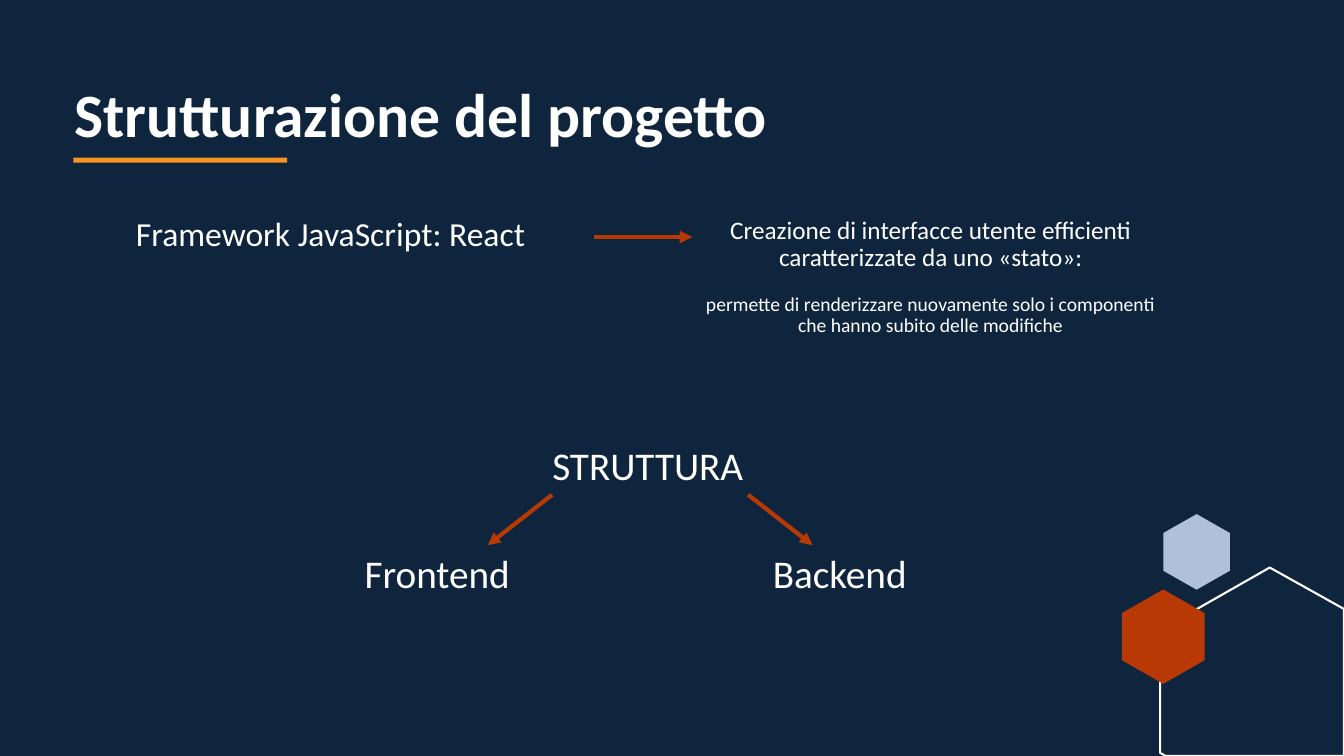
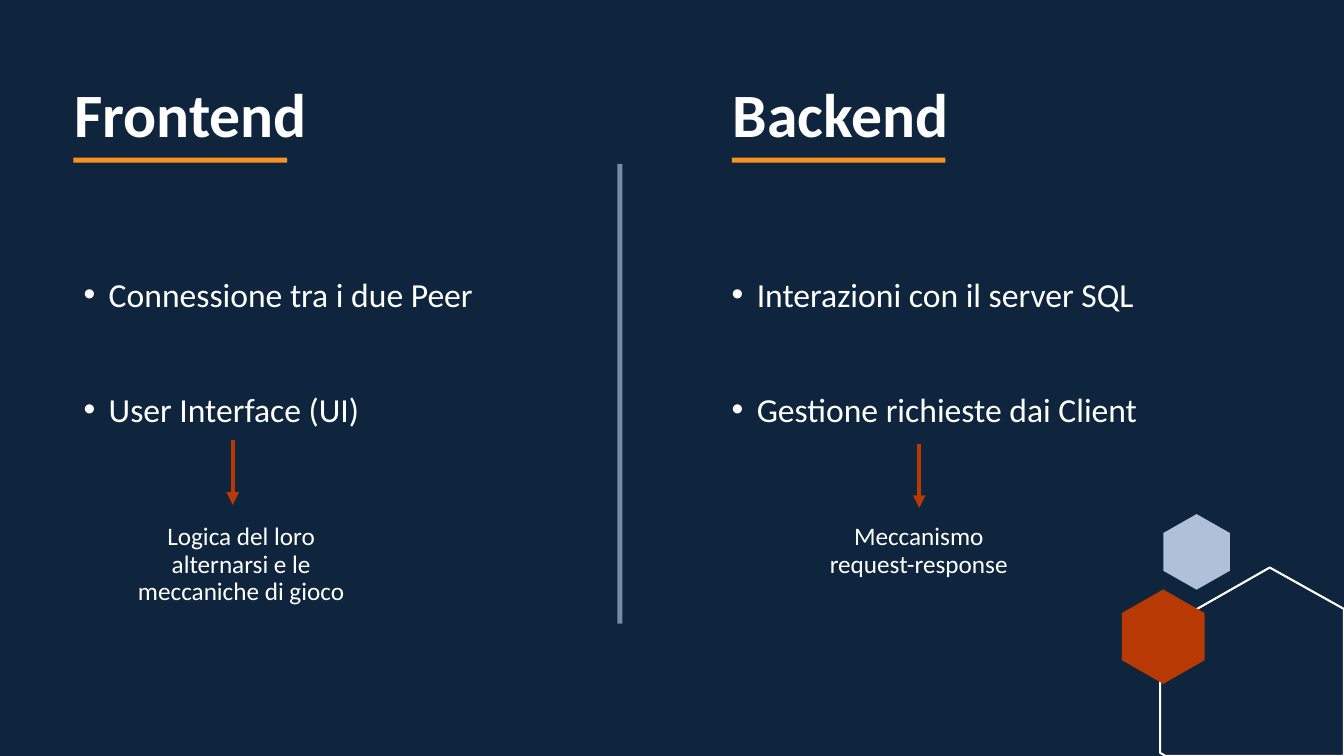
from lxml.etree import SubElement
from pptx import Presentation
from pptx.dml.color import RGBColor
from pptx.enum.shapes import MSO_CONNECTOR, MSO_SHAPE
from pptx.enum.text import PP_ALIGN as Align
from pptx.oxml.ns import qn
from pptx.util import Pt

WIDTH, HEIGHT = 960, 540
FONT = "Calibri"
NAVY, WHITE, RUST = "0F253E", "FFFFFF", "B83903"
ORANGE, PALE, DIVIDER = "F79320", "AEC1D8", "AEC2D8"


def color(code):
    """Turn a hex string into a colour."""
    return RGBColor.from_string(code)


def add_text(page, box, lines, align=Align.LEFT, spacing=0.9, bold=False, bullet=False):
    """Write (text, size, space before) lines in a box."""
    frame = page.shapes.add_textbox(*map(Pt, box)).text_frame
    frame.word_wrap = True
    for index, (text, size, before) in enumerate(lines):
        para = frame.add_paragraph() if index else frame.paragraphs[0]
        para.text = text
        para.alignment = align
        para.line_spacing = spacing
        para.space_before = Pt(before)
        para.font.name = FONT
        para.font.size = Pt(size)
        para.font.bold = bold
        para.font.color.rgb = color(WHITE)
        if bullet:
            add_bullet(para)


def add_bullet(para):
    """Give a paragraph a hanging bullet."""
    props = para._p.get_or_add_pPr()
    props.set("marL", str(Pt(18)))
    props.set("indent", str(Pt(-18)))
    for tag, name, value in (("a:buFont", "typeface", "Arial"), ("a:buChar", "char", "•")):
        SubElement(props, qn(tag)).set(name, value)


def add_bar(page, box, fill, opacity=100):
    """Draw a plain filled bar."""
    bar = page.shapes.add_shape(MSO_SHAPE.RECTANGLE, *map(Pt, box))
    bar.shadow.inherit = False
    bar.line.fill.background()
    bar.fill.solid()
    bar.fill.fore_color.rgb = color(fill)
    if opacity < 100:
        tint = bar.fill._xPr.find(qn("a:solidFill"))[0]
        SubElement(tint, qn("a:alpha")).set("val", str(opacity * 1000))


def add_arrow(page, start, end):
    """Draw an arrow between two points."""
    arrow = page.shapes.add_connector(MSO_CONNECTOR.STRAIGHT, *map(Pt, start + end))
    arrow.line.width = Pt(3)
    arrow.line.color.rgb = color(RUST)
    SubElement(arrow.line._get_or_add_ln(), qn("a:tailEnd")).set("type", "triangle")
    SubElement(arrow._element.spPr, qn("a:effectLst"))


def add_polygon(page, points, fill=None, line=None):
    """Draw a closed outline through the points."""
    first, *others = [(Pt(x), Pt(y)) for x, y in points]
    builder = page.shapes.build_freeform(*first)
    builder.add_line_segments(others, close=True)
    polygon = builder.convert_to_shape()
    polygon.shadow.inherit = False
    if fill:
        polygon.fill.solid()
        polygon.fill.fore_color.rgb = color(fill)
    else:
        polygon.fill.background()
    if line:
        polygon.line.color.rgb = color(line)
        polygon.line.width = Pt(1.5)
    else:
        polygon.line.fill.background()


def add_hexagon(page, box, fill):
    """Draw an upright hexagon that fills a box."""
    left, top, width, height = box
    middle, right = left + width / 2, left + width
    upper, lower = top + height / 4, top + height * 3 / 4
    points = [(middle, top), (right, upper), (right, lower),
              (middle, top + height), (left, lower), (left, upper)]
    add_polygon(page, points, fill)


def add_page(deck):
    """Add a blank page with the hexagon corner."""
    page = deck.slides.add_slide(deck.slide_layouts[6])
    add_hexagon(page, (831, 367.2, 47.5, 54), PALE)
    corner = [(907, 405.4), (WIDTH, 435), (WIDTH, HEIGHT),
              (832.5, HEIGHT), (828.7, 537.8), (828.7, 450)]
    add_polygon(page, corner, line=WHITE)
    add_hexagon(page, (801.4, 421, 59, 67.5), RUST)
    return page


def add_heading(page, left, top, text, width):
    """Write a heading with its orange rule."""
    add_text(page, (left, top, width, 57), [(text, 44, 0)], bold=True)
    add_bar(page, (left + 6.5, top + 56, 152.6, 3.6), ORANGE)


def add_framework(page, left, top):
    """Place the framework, an arrow and its benefits."""
    add_text(page, (left, top, 340, 32), [("Framework JavaScript: React", 24, 0)])
    add_arrow(page, (left + 334, top + 17.3), (left + 404.5, top + 17.3))
    benefits = [
        ("Creazione di interfacce utente efficienti caratterizzate da uno «stato»:", 18, 0),
        ("permette di renderizzare nuovamente solo i componenti "
         "che hanno subito delle modifiche", 14, 16),
    ]
    add_text(page, (left + 404.5, top, 340.5, 148), benefits, Align.CENTER)


def add_structure(page, left, top):
    """Place the tree with its two branches."""
    labels = (("STRUTTURA", 134, 0), ("Frontend", 0, 77), ("Backend", 291.6, 77))
    for text, x, y in labels:
        add_text(page, (left + x, top + y, 200, 32), [(text, 28, 0)])
    center = left + 211
    for side in (-1, 1):
        add_arrow(page, (center + side * 70, top + 38), (center + side * 116, top + 74))


def add_column(page, left, heading, topics, topics_left, note, note_left, arrow):
    """Place a heading, its topics and a note under an arrow."""
    add_heading(page, left, 56.5, heading, 380)
    lines = [(topic, 24, 10) for topic in topics]
    add_text(page, (topics_left, 149, 371, 88), lines, spacing=2.5, bullet=True)
    x, y = arrow
    add_arrow(page, arrow, (x, y + 46))
    add_text(page, (note_left, 370.8, 170.6, 75), [(note, 18, 0)], Align.CENTER)


def main():
    """Build and save the deck."""
    deck = Presentation()
    deck.slide_width, deck.slide_height = Pt(WIDTH), Pt(HEIGHT)
    background = deck.slide_master.background.fill
    background.solid()
    background.fore_color.rgb = color(NAVY)

    project = add_page(deck)
    add_heading(project, 46, 56.5, "Strutturazione del progetto", 857)
    add_framework(project, 90, 152)
    add_structure(project, 253.4, 315.4)

    parts = add_page(deck)
    add_column(parts, 46, "Frontend", ("Connessione tra i due Peer", "User Interface (UI)"), 52.6,
               "Logica del loro alternarsi e le meccaniche di gioco", 87, (166.3, 314.6))
    add_column(parts, 516.2, "Backend",
               ("Interazioni con il server SQL", "Gestione richieste dai Client"), 515.5,
               "Meccanismo request-response", 571, (656.6, 316.8))
    add_bar(parts, (441, 117, 3.6, 328.5), DIVIDER, 66)

    deck.save("out.pptx")


if __name__ == "__main__":
    main()
